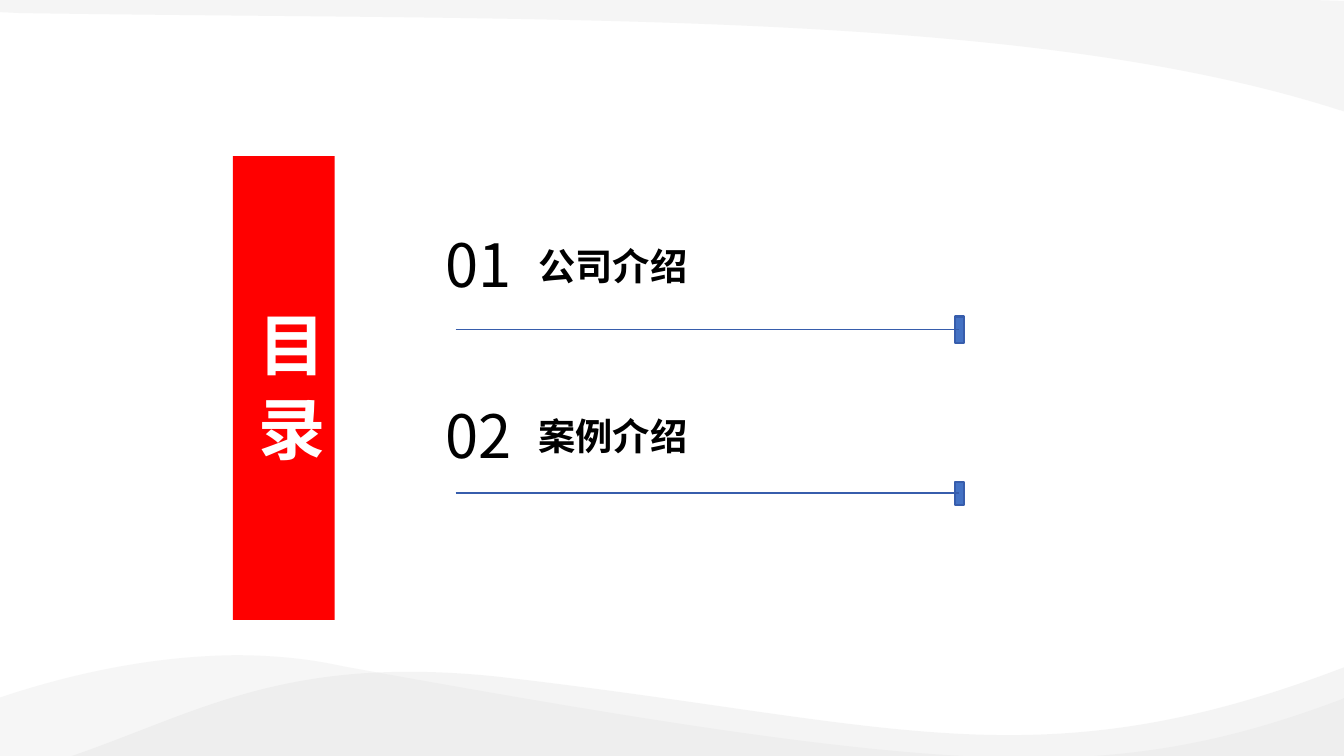
from lxml import etree
from pptx import Presentation
from pptx.dml.color import RGBColor
from pptx.enum.shapes import MSO_CONNECTOR, MSO_SHAPE
from pptx.enum.text import MSO_ANCHOR, MSO_AUTO_SIZE, PP_ALIGN
from pptx.oxml.ns import qn
from pptx.util import Inches, Pt

COLORS = {
    "red": "FF0000",
    "blue": "4472C4",
    "dark_blue": "375DAC",
    "light_grey": "F2F2F2",
    "grey": "D9D9D9",
    "white": "FFFFFF",
    "black": "000000",
}
FONT = "Noto Sans CJK SC"


def write(frame, text, size, color, bold, align, anchor):
    frame.word_wrap = False
    frame.vertical_anchor = anchor
    para = frame.paragraphs[0]
    para.alignment = align
    para.line_spacing = 1.0
    span = para.add_run()
    span.text = text
    span.font.size = Pt(size)
    span.font.bold = bold
    span.font.name = FONT
    span.font.color.rgb = RGBColor.from_string(COLORS[color])
    east_asian = etree.SubElement(span.font._element, qn("a:ea"))
    east_asian.set("typeface", FONT)


def draw_wave(shapes, contours):
    ends = [[(Inches(step[-2]), Inches(step[-1])) for step in contour]
            for contour in contours]
    builder = shapes.build_freeform(*ends[0][0])
    for index, points in enumerate(ends):
        if index:
            builder.move_to(*points[0])
        builder.add_line_segments(points[1:], close=True)
    wave = builder.convert_to_shape()
    steps = [step for contour in contours for step in contour[1:]]
    segments = list(wave._element.iter(qn("a:lnTo")))
    for step, segment in zip(steps, segments):
        if len(step) == 6:
            segment.tag = qn("a:cubicBezTo")
            controls = [(step[0], step[1]), (step[2], step[3])]
            for position, (x, y) in enumerate(controls):
                point = etree.Element(qn("a:pt"))
                point.set("x", str(Inches(x) - wave.left))
                point.set("y", str(Inches(y) - wave.top))
                segment.insert(position, point)
    return wave


deck = Presentation()
deck.slide_width = Inches(13.33)
deck.slide_height = Inches(7.5)
page = deck.slides.add_slide(deck.slide_layouts[5])
shapes = page.shapes

top_wave = [
    [(-0.01, -0.03), (11.91, -0.03), (13.35, 0.01), (13.35, 1.11), (13.28, 1.09),
     (10.13, 0.08, 5.45, 0.21, 0.2, 0.13), (-0.01, 0.12)],
]
bottom_wave = [
    [(13.34, 6.92), (13.34, 7.51), (10.64, 7.51), (10.69, 7.51),
     (11.65, 7.46, 12.42, 7.27, 13.3, 6.94)],
    [(2.33, 6.5), (2.68, 6.5, 3.04, 6.53, 3.4, 6.61),
     (6.43, 7.16, 8.32, 7.45, 9.75, 7.51), (-0.01, 7.51), (-0.01, 6.92), (0, 6.92),
     (0.72, 6.68, 1.51, 6.51, 2.33, 6.5)],
]
front_wave = [
    [(13.33, 6.62), (13.33, 7.51), (0.68, 7.51), (0.74, 7.49),
     (1.98, 7.06, 2.84, 6.5, 4.91, 6.71),
     (8.86, 7.16, 10.25, 7.8, 13.33, 6.62)],
]
for contours, color, opacity in [
    (top_wave, "light_grey", 75),
    (bottom_wave, "light_grey", 69),
    (front_wave, "grey", 27),
]:
    wave = draw_wave(shapes, contours)
    wave.shadow.inherit = False
    wave.fill.solid()
    wave.fill.fore_color.rgb = RGBColor.from_string(COLORS[color])
    wave.line.fill.background()
    fill_color = wave._element.spPr.find(qn("a:solidFill"))[0]
    etree.SubElement(fill_color, qn("a:alpha")).set("val", str(opacity * 1000))

banner = shapes.add_shape(
    MSO_SHAPE.RECTANGLE, Inches(2.31), Inches(1.55), Inches(1.01), Inches(4.6))
banner.shadow.inherit = False
banner.fill.solid()
banner.fill.fore_color.rgb = RGBColor.from_string(COLORS["red"])
banner.line.fill.background()

title = shapes.title
title.left, title.top = Inches(2.36), Inches(3.04)
title.width, title.height = Inches(1.01), Inches(1.77)
title.text_frame.auto_size = MSO_AUTO_SIZE.NONE
title.text_frame._txBody.bodyPr.set("vert", "eaVert")
write(title.text_frame, "目 录", 48, "white", True, PP_ALIGN.LEFT, MSO_ANCHOR.TOP)
banner._element.addnext(title._element)

for number, heading, number_top, heading_top, line_y, marker_top, marker_height in [
    ("01", "公司介绍", 2.23, 2.41, 3.27, 3.14, 0.26),
    ("02", "案例介绍", 3.93, 4.09, 4.89, 4.78, 0.23),
]:
    marker = shapes.add_shape(
        MSO_SHAPE.RECTANGLE, Inches(9.47), Inches(marker_top),
        Inches(0.09), Inches(marker_height))
    marker.shadow.inherit = False
    marker.fill.solid()
    marker.fill.fore_color.rgb = RGBColor.from_string(COLORS["blue"])
    marker.line.color.rgb = RGBColor.from_string(COLORS["dark_blue"])
    marker.line.width = Pt(1.5)

    rule = shapes.add_connector(
        MSO_CONNECTOR.STRAIGHT, Inches(4.52), Inches(line_y),
        Inches(9.51), Inches(line_y))
    rule.line.color.rgb = RGBColor.from_string(COLORS["dark_blue"])
    rule.line.width = Pt(1)
    etree.SubElement(rule._element.spPr, qn("a:effectLst"))

    number_box = shapes.add_textbox(
        Inches(4.39), Inches(number_top), Inches(0.72), Inches(0.77))
    number_box.text_frame.margin_left = number_box.text_frame.margin_right = 0
    write(number_box.text_frame, number, 42.6, "black", False,
          PP_ALIGN.CENTER, MSO_ANCHOR.MIDDLE)

    heading_box = shapes.add_textbox(
        Inches(4.82), Inches(heading_top), Inches(4.52), Inches(0.45))
    frame = heading_box.text_frame
    frame.margin_left = Inches(0.52)
    frame.margin_top = frame.margin_right = frame.margin_bottom = 0
    write(frame, heading, 26.6, "black", True, PP_ALIGN.LEFT, MSO_ANCHOR.BOTTOM)

deck.save("out.pptx")
